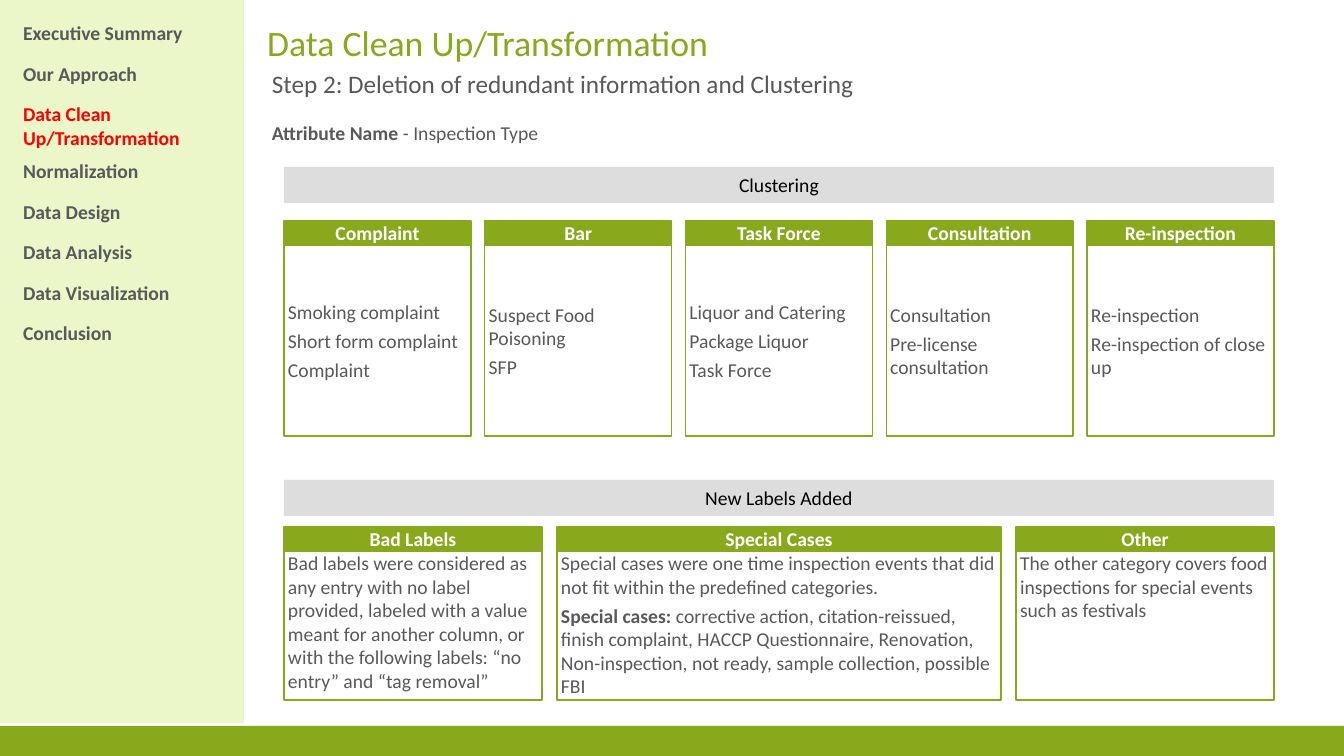
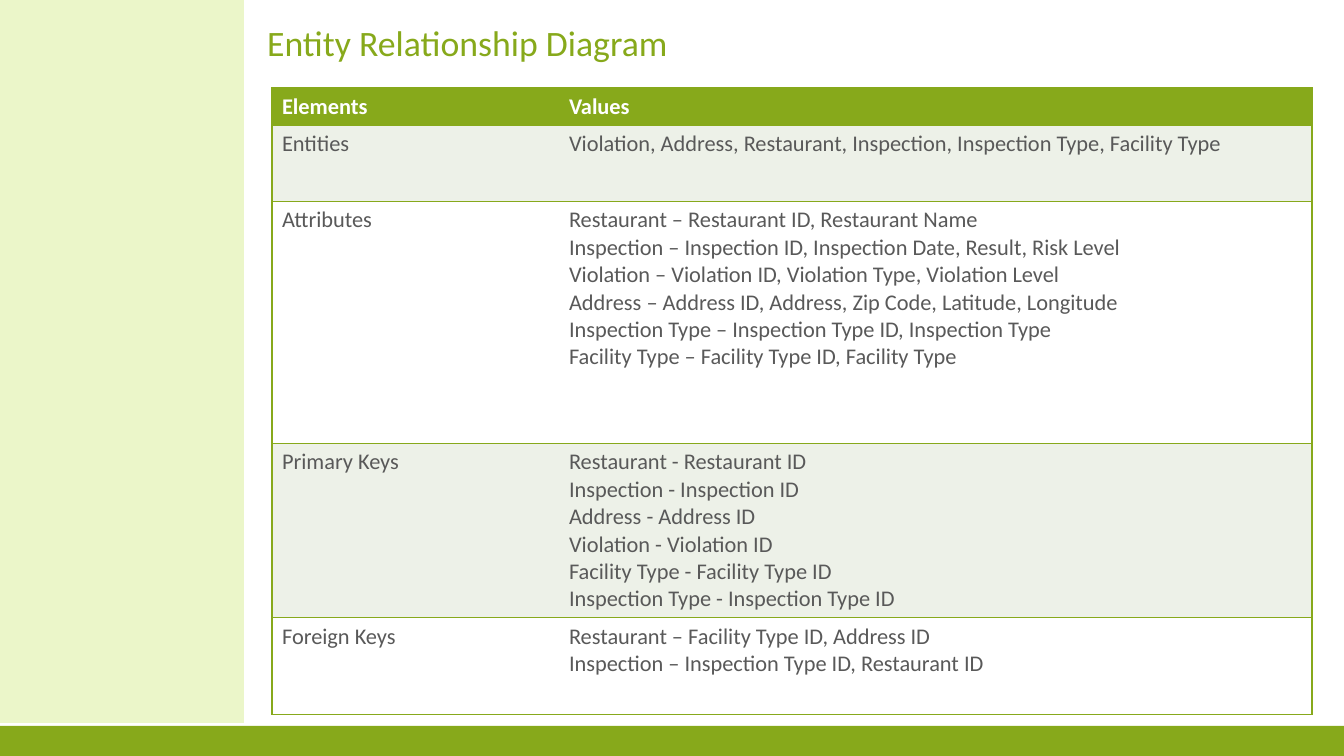
from lxml import etree
from pptx import Presentation
from pptx.dml.color import RGBColor
from pptx.enum.shapes import MSO_SHAPE
from pptx.enum.text import MSO_ANCHOR, PP_ALIGN
from pptx.oxml.ns import qn
from pptx.util import Pt

RECTANGLE = MSO_SHAPE.RECTANGLE
TOP, MIDDLE, BOTTOM = MSO_ANCHOR.TOP, MSO_ANCHOR.MIDDLE, MSO_ANCHOR.BOTTOM
LEFT, CENTER = PP_ALIGN.LEFT, PP_ALIGN.CENTER

GREEN = RGBColor(0x87, 0xA9, 0x1B)
PALE_GREEN = RGBColor(0xEB, 0xF6, 0xC9)
ROW_TINT = RGBColor(0xED, 0xF1, 0xE8)
LIGHT_GRAY = RGBColor(0xDD, 0xDD, 0xDD)
TEXT_GRAY = RGBColor(0x59, 0x59, 0x59)
RED = RGBColor(0xFF, 0, 0)
BLACK = RGBColor(0, 0, 0)
WHITE = RGBColor(0xFF, 0xFF, 0xFF)
FONT = "Calibri"
PLAIN_TABLE_STYLE = "{2D5ABB26-0587-4C30-8999-92F81FD0307C}"

# Slide size and scale, in px
SLIDE_WIDTH, SLIDE_HEIGHT = 1344, 756
EMU_PER_PX = 12192000 / SLIDE_WIDTH

# Content: a paragraph is a string, or a (bold, regular) pair
MASTER_BANDS = [
    ((0, 726, SLIDE_WIDTH, 30), GREEN),
    ((0, 0, 244, 723), PALE_GREEN),
]
NAVIGATION = [
    "Executive Summary", "Our Approach", "Data Clean Up/Transformation",
    "Normalization", "Data Design", "Data Analysis", "Data Visualization",
    "Conclusion",
]
CLEAN_UP_TITLE = "Data Clean Up/Transformation"
CLEAN_UP_STEP = "Step 2: Deletion of redundant information and Clustering"
ATTRIBUTE = ("Attribute Name ", "- Inspection Type")
SECTION_BARS = [("Clustering", 167), ("New Labels Added", 480)]
CLUSTERS = [
    ("Complaint", ["Smoking complaint", "Short form complaint", "Complaint"]),
    ("Bar", ["Suspect Food Poisoning", "SFP"]),
    ("Task Force", ["Liquor and Catering", "Package Liquor", "Task Force"]),
    ("Consultation", ["Consultation", "Pre-license consultation"]),
    ("Re-inspection", ["Re-inspection", "Re-inspection of close up"]),
]
NEW_LABELS = [
    ("Bad Labels", [
        "Bad labels were considered as any entry with no label provided, "
        "labeled with a value meant for another column, or with the "
        "following labels: “no entry” and “tag removal”"]),
    ("Special Cases", [
        "Special cases were one time inspection events that did not fit "
        "within the predefined categories.",
        ("Special cases:",
         " corrective action, citation-reissued, finish complaint, HACCP "
         "Questionnaire, Renovation, Non-inspection, not ready, sample "
         "collection, possible FBI")]),
    ("Other", [
        "The other category covers food inspections for special events "
        "such as festivals"]),
]
ENTITY_TITLE = "Entity Relationship Diagram"
ENTITY_ROWS = [  # height, element, values
    (37, "Elements", ["Values"]),
    (76, "Entities", [
        "Violation, Address, Restaurant, Inspection, Inspection Type, "
        "Facility Type"]),
    (242, "Attributes", [
        "Restaurant – Restaurant ID, Restaurant Name",
        "Inspection – Inspection ID, Inspection Date, Result, Risk Level",
        "Violation – Violation ID, Violation Type, Violation Level",
        "Address – Address ID, Address, Zip Code, Latitude, Longitude",
        "Inspection Type – Inspection Type ID, Inspection Type",
        "Facility Type – Facility Type ID, Facility Type"]),
    (174, "Primary Keys", [
        "Restaurant - Restaurant ID",
        "Inspection - Inspection ID",
        "Address - Address ID",
        "Violation - Violation ID",
        "Facility Type - Facility Type ID",
        "Inspection Type - Inspection Type ID"]),
    (97, "Foreign Keys", [
        "Restaurant – Facility Type ID, Address ID",
        "Inspection – Inspection Type ID, Restaurant ID"]),
]

# Layout, in px
TITLE_BOX = (257, 17, 1073, 52)
CONTENT_LEFT, CONTENT_WIDTH = 284, 990
BAR_HEIGHT, HEADER_HEIGHT = 36, 24
CLUSTER_WIDTHS = [187] * len(CLUSTERS)
LABEL_WIDTHS = [258, 444, 258]
ENTITY_COLUMNS = [287, 753]


def px(value):
    return round(value * EMU_PER_PX)


def box_emu(box):
    return [px(value) for value in box]


def write(frame, paragraphs, size, color, bold=False, align=LEFT,
          space_before=0):
    for index, content in enumerate(paragraphs):
        paragraph = frame.paragraphs[0] if index == 0 else frame.add_paragraph()
        paragraph.alignment = align
        if index and space_before:
            paragraph.space_before = Pt(space_before)
        font = paragraph.font
        font.name, font.size, font.bold = FONT, Pt(size), bold
        font.color.rgb = color
        if isinstance(content, str):
            paragraph.add_run().text = content
        else:
            for text, run_bold in zip(content, (True, False)):
                run = paragraph.add_run()
                run.text, run.font.bold = text, run_bold


def add_rectangle(shapes, box, fill=None, line=None):
    shape = shapes.add_shape(RECTANGLE, *box_emu(box))
    shape.shadow.inherit = False
    if fill is None:
        shape.fill.background()
    else:
        shape.fill.solid()
        shape.fill.fore_color.rgb = fill
    if line is None:
        shape.line.fill.background()
    else:
        shape.line.color.rgb = line
        shape.line.width = Pt(1)
    return shape


def add_text(slide, box, content, size):
    frame = slide.shapes.add_textbox(*box_emu(box)).text_frame
    frame.word_wrap = True
    write(frame, [content], size, TEXT_GRAY)


def add_slide(presentation, title):
    slide = presentation.slides.add_slide(presentation.slide_layouts[5])
    shape = slide.shapes.title
    shape.left, shape.top, shape.width, shape.height = box_emu(TITLE_BOX)
    shape.text_frame.vertical_anchor = BOTTOM
    write(shape.text_frame, [title], 25.5, GREEN)
    shape.text_frame.paragraphs[0].line_spacing = 0.9
    return slide


def add_master_bands(presentation, slide):
    # Bands are drawn on a slide, then moved behind the master's placeholders
    tree = presentation.slide_master.shapes.element
    for index, (box, color) in enumerate(MASTER_BANDS):
        band = add_rectangle(slide.shapes, box, color).element
        band.nvSpPr.cNvPr.id = 100 + index
        tree.insert(2 + index, band)


def add_table(slide, left, top, widths, heights):
    box = (left, top, sum(widths), sum(heights))
    table = slide.shapes.add_table(
        len(heights), len(widths), *box_emu(box)).table
    table.first_row = table.horz_banding = False
    table._tbl.tblPr.find(qn("a:tableStyleId")).text = PLAIN_TABLE_STYLE
    for column, width in zip(table.columns, widths):
        column.width = px(width)
    for row, height in zip(table.rows, heights):
        row.height = px(height)
    return table


def set_borders(cell, sides, color):
    properties = cell._tc.get_or_add_tcPr()
    for index, side in enumerate(sides):
        line = etree.Element(qn(f"a:ln{side}"), w=str(Pt(1)))
        fill = etree.SubElement(line, qn("a:solidFill"))
        etree.SubElement(fill, qn("a:srgbClr"), val=str(color))
        properties.insert(index, line)


def add_navigation(slide, current):
    table = add_table(slide, 13, 17, [221], [40.5] * len(NAVIGATION))
    for row, name in enumerate(NAVIGATION):
        cell = table.cell(row, 0)
        cell.fill.background()
        color = RED if name == current else TEXT_GRAY
        write(cell.text_frame, [name], 14, color, bold=True)


def add_cards(slide, cards, widths, top, body_height, anchor):
    gap = (CONTENT_WIDTH - sum(widths)) / (len(widths) - 1)
    left = CONTENT_LEFT
    for (heading, paragraphs), width in zip(cards, widths):
        group = slide.shapes.add_group_shape()
        header = add_rectangle(
            group.shapes, (left, top, width, HEADER_HEIGHT), GREEN, GREEN)
        body = add_rectangle(
            group.shapes, (left, top + HEADER_HEIGHT, width, body_height),
            line=GREEN)
        for shape in (header, body):
            frame = shape.text_frame
            frame.margin_left = frame.margin_right = px(4)
            frame.margin_top = frame.margin_bottom = 0
        header.text_frame.vertical_anchor = MIDDLE
        body.text_frame.vertical_anchor = anchor
        write(header.text_frame, [heading], 14, WHITE, True, CENTER)
        write(body.text_frame, paragraphs, 14, TEXT_GRAY, space_before=4)
        left += width + gap


def build_clean_up(slide):
    add_text(slide, (262, 63, 1073, 40), CLEAN_UP_STEP, 18)
    add_text(slide, (262, 116, 1038, 105), ATTRIBUTE, 14)
    add_cards(slide, CLUSTERS, CLUSTER_WIDTHS, 221, 191, MIDDLE)
    add_navigation(slide, CLEAN_UP_TITLE)
    for name, top in SECTION_BARS:
        bar = add_rectangle(
            slide.shapes, (CONTENT_LEFT, top, CONTENT_WIDTH, BAR_HEIGHT),
            LIGHT_GRAY)
        bar.text_frame.vertical_anchor = MIDDLE
        write(bar.text_frame, [name], 14, BLACK, align=CENTER)
    add_cards(slide, NEW_LABELS, LABEL_WIDTHS, 527, 149, TOP)


def build_entities(slide):
    heights = [height for height, _, _ in ENTITY_ROWS]
    table = add_table(slide, 272, 88, ENTITY_COLUMNS, heights)
    for row, (_, element, values) in enumerate(ENTITY_ROWS):
        is_header = row == 0
        fill = GREEN if is_header else ROW_TINT if row % 2 else WHITE
        color = WHITE if is_header else TEXT_GRAY
        for column, paragraphs in enumerate(([element], values)):
            cell = table.cell(row, column)
            cell.fill.solid()
            cell.fill.fore_color.rgb = fill
            set_borders(cell, "RTB" if column else "LTB", GREEN)
            write(cell.text_frame, paragraphs, 16, color, bold=is_header)


def main():
    presentation = Presentation()
    presentation.slide_width = px(SLIDE_WIDTH)
    presentation.slide_height = px(SLIDE_HEIGHT)
    clean_up = add_slide(presentation, CLEAN_UP_TITLE)
    add_master_bands(presentation, clean_up)
    build_clean_up(clean_up)
    build_entities(add_slide(presentation, ENTITY_TITLE))
    presentation.save("out.pptx")


if __name__ == "__main__":
    main()
